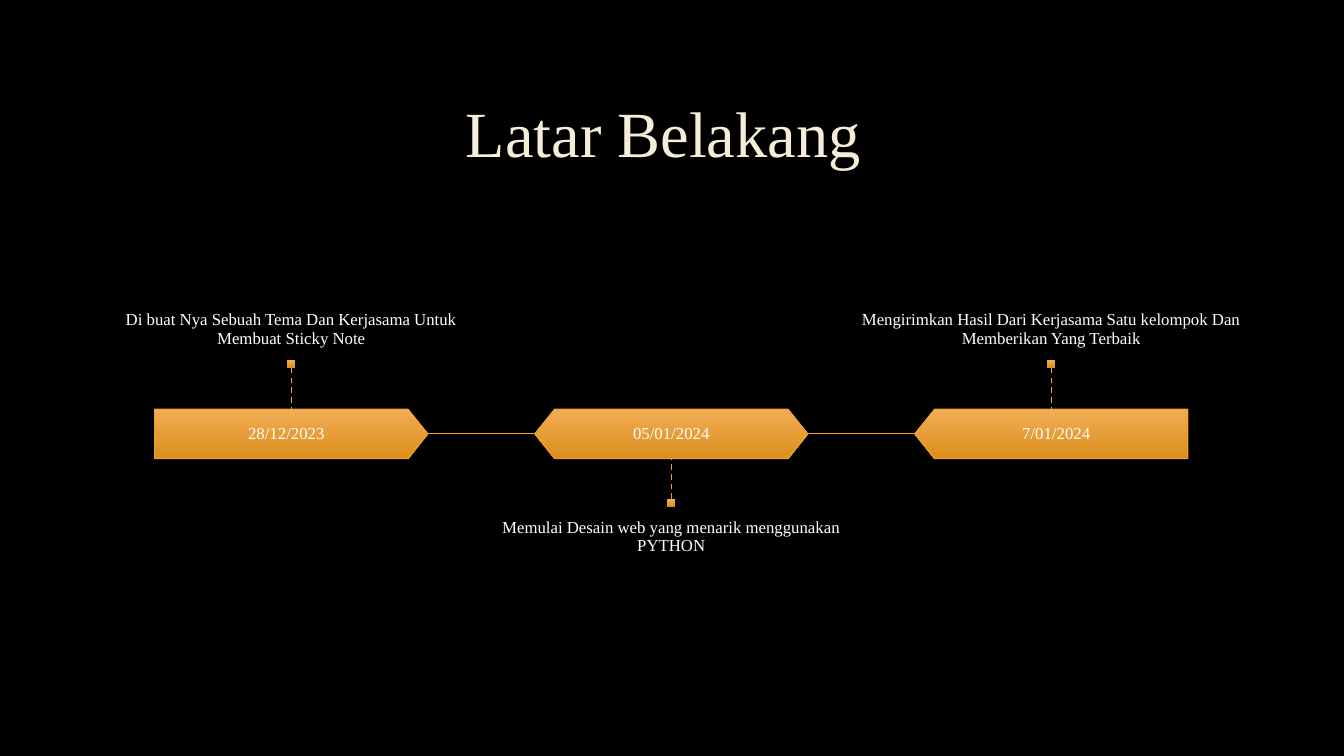
from lxml.etree import SubElement
from pptx import Presentation
from pptx.dml.color import RGBColor
from pptx.enum.dml import MSO_LINE
from pptx.enum.shapes import MSO_CONNECTOR, MSO_SHAPE
from pptx.enum.text import MSO_ANCHOR, MSO_AUTO_SIZE, PP_ALIGN
from pptx.oxml.ns import qn
from pptx.util import Pt

COLORS = {
    "background": "000000",
    "title": "F4EDD8",
    "text": "FFFFFF",
    "accent": "F0A22E",
    "gradient_top": "F2AD56",
    "gradient_bottom": "DB8E1B",
}
FONT = "Times New Roman"

FIRST_CENTER, PITCH = 208.08, 271.44
BAND_TOP, BAND_WIDTH, BAND_HEIGHT = 292.32, 195.12, 35.28
BAND_MIDDLE = BAND_TOP + BAND_HEIGHT / 2
BAND_BOTTOM = BAND_TOP + BAND_HEIGHT
CAPTION_HEIGHT, MARKER = 93.6, 5.76

MILESTONES = [
    ("28/12/2023", MSO_SHAPE.PENTAGON, False, True,
     "Di buat Nya Sebuah Tema Dan Kerjasama Untuk Membuat Sticky Note"),
    ("05/01/2024", MSO_SHAPE.HEXAGON, False, False,
     "Memulai Desain web yang menarik menggunakan PYTHON"),
    ("7/01/2024", MSO_SHAPE.PENTAGON, True, True,
     "Mengirimkan Hasil Dari Kerjasama Satu kelompok Dan Memberikan Yang Terbaik"),
]


def rgb(name):
    return RGBColor.from_string(COLORS[name])


class Timeline:
    def __init__(self, slide):
        self.slide = slide
        slide.background.fill.solid()
        slide.background.fill.fore_color.rgb = rgb("background")

    def add_text(self, frame, text, size=12, color="text",
                 anchor=MSO_ANCHOR.MIDDLE, insets=(7.2, 7.2)):
        frame.word_wrap = True
        frame.auto_size = MSO_AUTO_SIZE.NONE
        frame.vertical_anchor = anchor
        frame.margin_left = frame.margin_right = Pt(insets[0])
        frame.margin_top = frame.margin_bottom = Pt(insets[1])
        paragraph = frame.paragraphs[0]
        paragraph.alignment = PP_ALIGN.CENTER
        paragraph.line_spacing = 0.9
        run = paragraph.add_run()
        run.text = text
        run.font.name = FONT
        run.font.size = Pt(size)
        run.font.color.rgb = rgb(color)

    def title(self, text, left, top, width, height):
        heading = self.slide.shapes.title
        heading.left, heading.top = Pt(left), Pt(top)
        heading.width, heading.height = Pt(width), Pt(height)
        self.add_text(heading.text_frame, text, 46, "title", insets=(7.2, 3.6))

    def block(self, kind, left, top, width, height):
        block = self.slide.shapes.add_shape(
            kind, Pt(left), Pt(top), Pt(width), Pt(height))
        block.shadow.inherit = False
        block.fill.gradient()
        block.fill.gradient_angle = 270
        for stop, name in zip(block.fill.gradient_stops,
                              ("gradient_top", "gradient_bottom")):
            stop.color.rgb = rgb(name)
        block.line.fill.background()
        return block

    def band(self, kind, center, date, flipped):
        band = self.block(kind, center - BAND_WIDTH / 2, BAND_TOP,
                          BAND_WIDTH, BAND_HEIGHT)
        band.adjustments[0] = 0.4
        band.line.color.rgb = rgb("accent")
        band.line.width = Pt(0.75)
        if flipped:
            band._element.spPr.find(qn("a:xfrm")).set("flipH", "1")
        self.add_text(band.text_frame, date)

    def caption(self, text, center, top, anchor):
        caption = self.slide.shapes.add_textbox(
            Pt(center - PITCH / 2), Pt(top), Pt(PITCH), Pt(CAPTION_HEIGHT))
        self.add_text(caption.text_frame, text, anchor=anchor, insets=(0, 8.64))

    def line(self, x1, y1, x2, y2, width=0.75, dash=None):
        line = self.slide.shapes.add_connector(
            MSO_CONNECTOR.STRAIGHT, Pt(x1), Pt(y1), Pt(x2), Pt(y2))
        line.line.color.rgb = rgb("accent")
        line.line.width = Pt(width)
        if dash:
            line.line.dash_style = dash
        SubElement(line._element.spPr, qn("a:effectLst"))
        return line

    def stem(self, center, above):
        marker_top = 257.04 if above else 356.4
        marker = self.block(MSO_SHAPE.RECTANGLE, center - MARKER / 2,
                            marker_top, MARKER, MARKER)
        marker_edge = marker_top + MARKER if above else marker_top
        band_edge = BAND_TOP if above else BAND_BOTTOM
        stem = self.line(center, marker_edge, center, band_edge,
                         1, MSO_LINE.DASH)
        stem.begin_connect(marker, 2 if above else 0)


def main():
    deck = Presentation()
    deck.slide_width, deck.slide_height = Pt(960), Pt(540)
    timeline = Timeline(deck.slides.add_slide(deck.slide_layouts[5]))
    timeline.title("Latar Belakang ", 72, 48.24, 815.04, 99.36)

    for index, (date, kind, flipped, above, story) in enumerate(MILESTONES):
        center = FIRST_CENTER + index * PITCH
        timeline.band(kind, center, date, flipped)
        timeline.stem(center, above)
        timeline.caption(story, center, 163.44 if above else 362.16,
                         MSO_ANCHOR.BOTTOM if above else MSO_ANCHOR.TOP)
        if index:
            timeline.line(center - PITCH + BAND_WIDTH / 2, BAND_MIDDLE,
                          center - BAND_WIDTH / 2, BAND_MIDDLE)

    deck.save("out.pptx")


if __name__ == "__main__":
    main()
